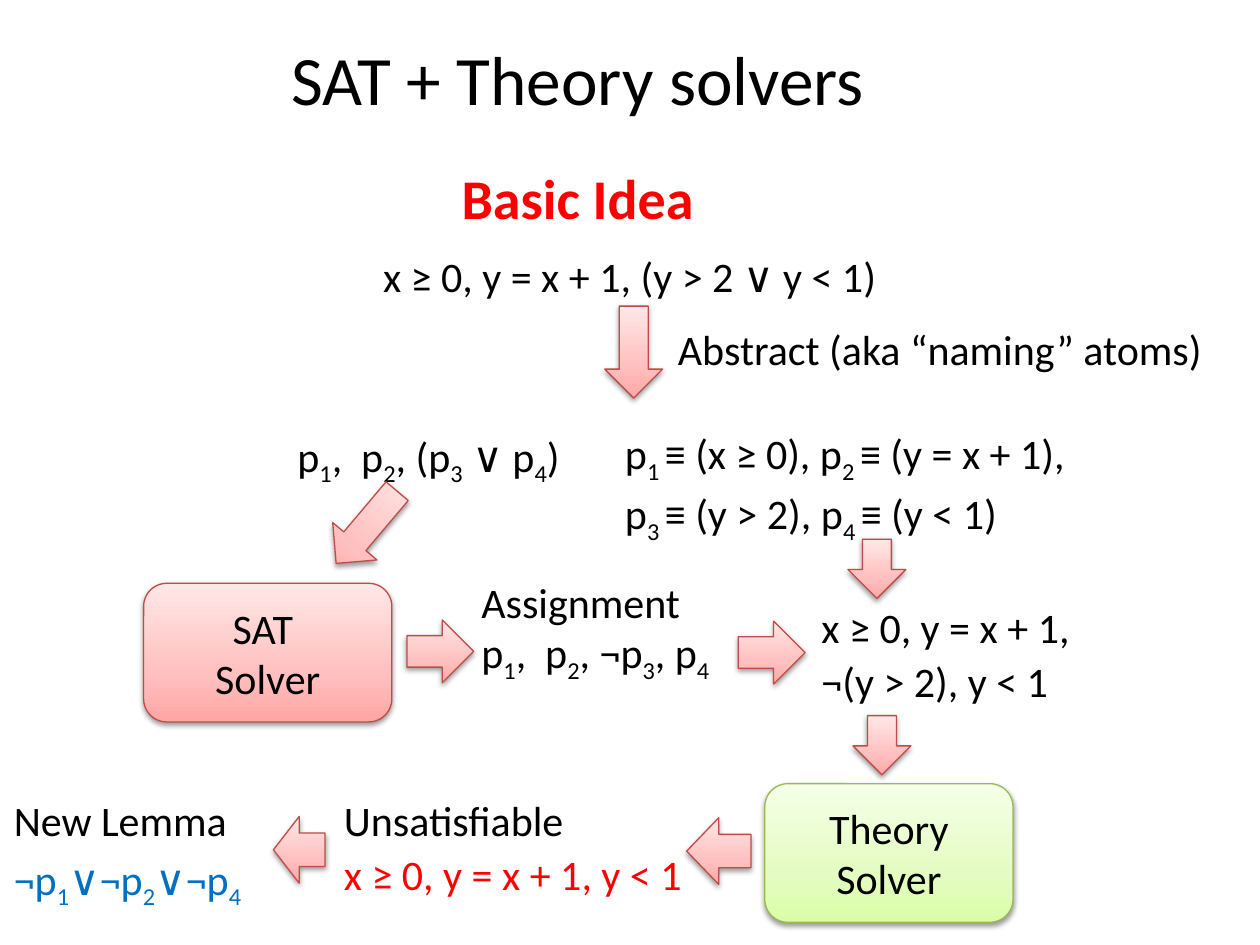
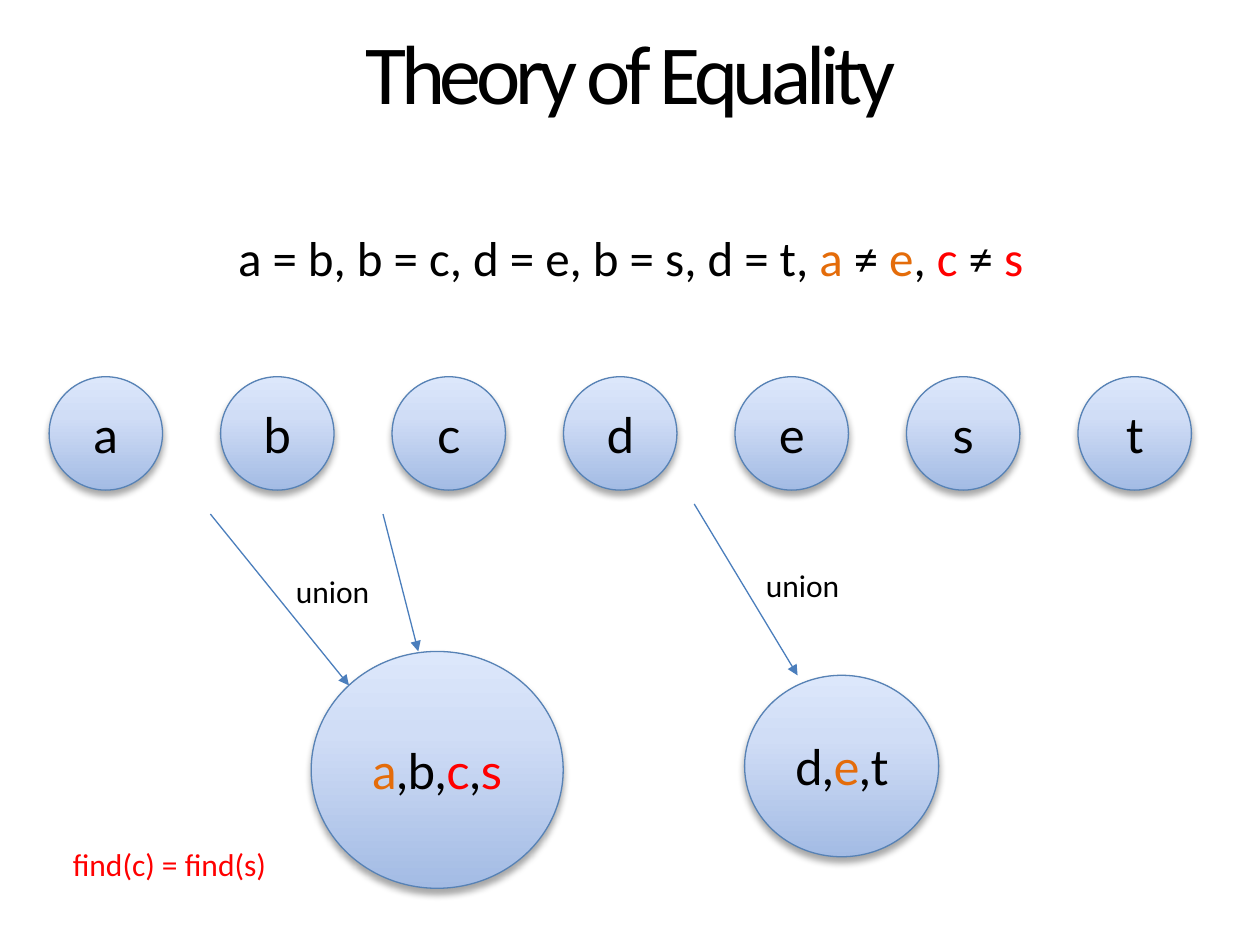
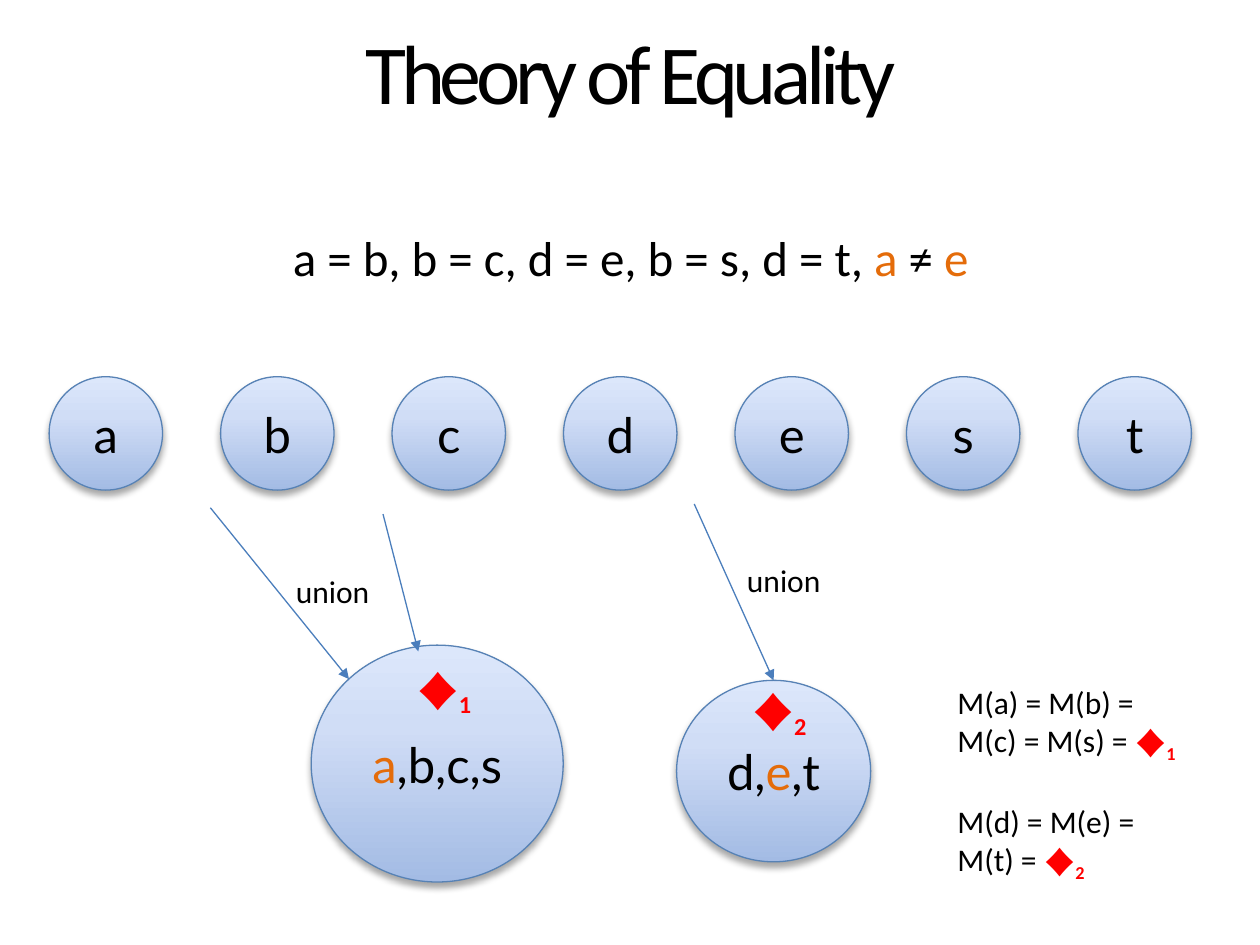
from typing import NamedTuple

from lxml.etree import SubElement
from pptx import Presentation
from pptx.dml.color import RGBColor
from pptx.enum.shapes import MSO_CONNECTOR as Link, MSO_SHAPE as Form
from pptx.enum.text import MSO_ANCHOR as Anchor, MSO_AUTO_SIZE as Fit, PP_ALIGN as Align
from pptx.oxml.ns import qn
from pptx.util import Inches, Pt

# Colours
BLACK = RGBColor(0x00, 0x00, 0x00)
RED = RGBColor(0xFF, 0x00, 0x00)
BLUE = RGBColor(0x00, 0x70, 0xC0)
ORANGE = RGBColor(0xE4, 0x6C, 0x0A)
WIRE = RGBColor(0x4B, 0x7E, 0xBC)


class Look(NamedTuple):
    """Gradient stops, outline and shadow (opacity %, blur pt, distance pt)."""
    stops: tuple
    edge: RGBColor
    shade: tuple


def ramp(middle, *hues):
    return tuple(zip((0, middle, 100), map(RGBColor.from_string, hues)))


ROSE = Look(ramp(35, "FFA6A5", "FFC0BF", "FFE7E7"), RGBColor(0xBF, 0x4C, 0x48), (38, 3.1, 1.6))
LIME = Look(ramp(35, "DAFDA7", "E4FCC2", "F5FFE7"), RGBColor(0x98, 0xB9, 0x55), (38, 3.1, 1.6))
SKY = Look(ramp(65, "A3BBE4", "D0DDF6", "DCE7FB"), RGBColor(0x57, 0x82, 0xB5), (35, 4, 3))

# Grid: 100 columns by 75 rows of square cells
COLS, ROWS, CELL = 100, 75, 0.1
BODY, NODE = "Calibri", "Lato"
TIGHT, ROOMY, INNER = (0, 0), (1, 0.5), (1.2, 0.6)  # insets in cells


def cells(*counts):
    return [Inches(n * CELL) for n in counts]


class Bit(NamedTuple):
    """One run of text."""
    words: str
    hue: RGBColor
    bold: bool
    low: bool


def bits(*parts, hue=BLACK, bold=False):
    """Runs that alternate between the base line and subscript."""
    return [Bit(part, hue, bold, i % 2 == 1) for i, part in enumerate(parts)]


class Deck:
    def __init__(self):
        self.show = Presentation()
        self.show.slide_width, self.show.slide_height = cells(COLS, ROWS)
        self.page = None

    def start(self):
        self.page = self.show.slides.add_slide(self.show.slide_layouts[6])

    def typeset(self, frame, paras, size, font=BODY, align=Align.LEFT, pad=TIGHT,
                lead=None, gap=0, track=None):
        """Fill a text frame run by run; gap is a share of the text size."""
        frame.margin_left = frame.margin_right = cells(pad[0])[0]
        frame.margin_top = frame.margin_bottom = cells(pad[1])[0]
        for i, para in enumerate(paras):
            line = frame.add_paragraph() if i else frame.paragraphs[0]
            line.alignment, line.space_before = align, Pt(size * gap)
            if lead:
                line.line_spacing = lead
            for bit in para:
                run = line.add_run()
                run.text = bit.words
                run.font.name, run.font.size, run.font.bold = font, Pt(size), bit.bold
                run.font.color.rgb = bit.hue
                props = run._r.get_or_add_rPr()
                if bit.low:
                    props.set("baseline", "-25000")
                if track:
                    props.set("spc", str(track * 100))

    def text(self, box, *paras, size=24, wrap=True, grow=True, mid=False, **style):
        frame = self.page.shapes.add_textbox(*cells(*box)).text_frame
        frame.word_wrap = wrap
        frame.auto_size = Fit.SHAPE_TO_FIT_TEXT if grow else Fit.NONE
        frame.vertical_anchor = Anchor.MIDDLE if mid else Anchor.TOP
        self.typeset(frame, paras, size, **style)
        return frame

    def maths(self, box, *paras, gap=0.2, **style):
        self.text(box, *paras, lead=0.9, gap=gap, **style)

    def label(self, box, *paras, size=18, wrap=False):
        return self.text(box, *paras, size=size, wrap=wrap, pad=ROOMY)

    def shape(self, form, box, look, *paras, size=24, font=BODY, turn=0):
        item = self.page.shapes.add_shape(form, *cells(*box))
        item.rotation = turn
        # Gradient that runs from the bottom to the top
        item.fill.gradient()
        item.fill.gradient_angle = 90
        props = item._element.spPr
        stops = props.find(".//" + qn("a:gsLst"))
        for old in list(stops):
            stops.remove(old)
        for place, hue in look.stops:
            stop = SubElement(stops, qn("a:gs"), pos=str(place * 1000))
            SubElement(stop, qn("a:srgbClr"), val=str(hue))
        item.line.color.rgb, item.line.width = look.edge, Pt(0.75)
        # Soft shadow straight below
        item.shadow.inherit = False
        alpha, blur, drop = look.shade
        shade = SubElement(props.find(qn("a:effectLst")), qn("a:outerShdw"),
                           blurRad=str(int(Pt(blur))), dist=str(int(Pt(drop))),
                           dir="5400000", rotWithShape="0")
        tint = SubElement(shade, qn("a:srgbClr"), val=str(BLACK))
        SubElement(tint, qn("a:alpha"), val=str(alpha * 1000))
        item.text_frame.vertical_anchor = Anchor.MIDDLE
        self.typeset(item.text_frame, paras, size, font, Align.CENTER, INNER)
        return item

    def ball(self, box, para):
        return self.shape(Form.OVAL, box, SKY, para, size=28, font=NODE)

    def arrow(self, ends, goal=None):
        wire = self.page.shapes.add_connector(Link.STRAIGHT, *cells(*ends))
        if goal is not None:
            wire.end_connect(goal, 0)
        wire.line.color.rgb, wire.line.width = WIRE, Pt(0.75)
        props = wire._element.spPr
        SubElement(props.find(qn("a:ln")), qn("a:tailEnd"), type="triangle")
        SubElement(props, qn("a:effectLst"))


def solvers(deck):
    """The loop between the SAT solver and the theory solver."""
    deck.start()
    deck.text((0, 2.5, 91.7, 7.3), bits("SAT + Theory solvers"), size=39.6,
              align=Align.CENTER, pad=ROOMY, grow=False, mid=True)
    deck.text((0, 12.5, 91.7, 24.2), bits("Basic Idea", hue=RED, bold=True), size=32,
              align=Align.CENTER, pad=ROOMY, grow=False, gap=0.2)

    # Formula and its abstraction
    deck.maths((4.5, 20.3, 91.7, 3.6), bits("x ≥ 0, y = x + 1, (y > 2 ∨ y < 1) "),
               align=Align.CENTER)
    deck.maths((23.6, 34.2, 23.8, 3.6),
               bits("p", "1", ",  p", "2", ", (p", "3", " ∨ p", "4", ")"))
    deck.maths((53.8, 26.1, 46.2, 3.6), bits("Abstract (aka “naming” atoms)"))
    deck.maths((49.6, 34, 40.8, 8.1),
               bits("p", "1 ", "≡ (x ≥ 0), p", "2 ", "≡ (y = x + 1),"),
               bits("p", "3 ", "≡ (y > 2), p", "4 ", "≡ (y < 1)"))

    # Solvers
    for spot, look, name in (((11.4, 46.3), ROSE, "SAT "), ((60.7, 62.2), LIME, "Theory")):
        deck.shape(Form.ROUNDED_RECTANGLE, (*spot, 19.7, 11), look, bits(name), bits("Solver"))

    # Block arrows
    for form, box, turn in (
        (Form.DOWN_ARROW, (48, 24.3, 4.6, 7.3), 0),
        (Form.DOWN_ARROW, (26.8, 38.1, 4.6, 7.5), 40.2),
        (Form.RIGHT_ARROW, (32.3, 49.2, 5.3, 5), 0),
        (Form.RIGHT_ARROW, (58.6, 49.3, 5.3, 5), 0),
        (Form.DOWN_ARROW, (67.3, 42.8, 4.6, 4.7), 0),
        (Form.DOWN_ARROW, (67.7, 56.8, 4.6, 4.7), 0),
        (Form.LEFT_ARROW, (54.5, 64.9, 5.1, 5.3), 0),
        (Form.LEFT_ARROW, (21.7, 64.8, 4.1, 5.3), 0),
    ):
        deck.shape(form, box, ROSE, turn=turn)

    # Results of each step
    deck.maths((38.2, 46.2, 23.8, 7.3), bits("Assignment"),
               bits("p", "1", ",  p", "2", ", ¬p", "3", ", p", "4"), gap=0)
    deck.maths((65.2, 48.2, 21.7, 8.1), bits("x ≥ 0, y = x + 1,"), bits("¬(y > 2), y < 1"))
    deck.maths((27.3, 63.5, 27.3, 8.1), bits("Unsatisfiable"),
               bits("x ≥ 0, y = x + 1, y < 1", hue=RED))
    deck.maths((1.1, 63.5, 27.3, 8.1), bits("New Lemma"),
               bits("¬p", "1", "∨¬p", "2", "∨¬p", "4", hue=BLUE))


def equal(deck, facts, group, left, right, tip, tag, join=False):
    """Title, facts, terms and unions of an equality slide."""
    deck.start()
    deck.text((4.2, 2.5, 91.7, 7.3), bits("Theory of Equality"), size=48,
              align=Align.CENTER, lead=0.9, track=-3)
    deck.maths((4.2, 18.6, 91.7, 4.2),
               bits("a = b, b = c, d = e, b = s, d = t, ") + bits("a ", hue=ORANGE)
               + bits("≠ ") + bits("e", hue=ORANGE) + facts, size=28, align=Align.CENTER)

    # Single terms, then merged classes
    for i, term in enumerate("abcdest"):
        deck.ball((3.9 + 13.61 * i, 29.9, 9, 9), bits(term))
    deck.ball((*left, 20, 18.8), bits("a", hue=ORANGE) + group)
    pair = deck.ball((*right, 15.4, 14.4), bits("d,") + bits("e", hue=ORANGE) + bits(",t"))

    # Unions
    top = left[1]
    deck.arrow((16.7, top - 10.9, 27.7, top + 2.7))
    deck.arrow((30.4, 40.8, 33.2, 51.7))
    deck.arrow((55.1, 40, tip, right[1]), pair if join else None)
    for spot in ((22.5, 44.9), tag):
        deck.label((*spot, 7.9, 4), bits("union"))


def clash(deck):
    """The facts contradict c ≠ s."""
    facts = bits(", ") + bits("c ", hue=RED) + bits("≠ ") + bits("s", hue=RED)
    group = bits(",b,") + bits("c", hue=RED) + bits(",") + bits("s", hue=RED)
    equal(deck, facts, group, left=(24.7, 51.7), right=(59.1, 53.6),
          tip=63.3, tag=(59.8, 44.4))
    deck.label((4.8, 66.6, 17.6, 4), bits("find(c) = find(s)", hue=RED))


def model(deck):
    """The facts hold, so each class gets a value."""
    equal(deck, [], bits(",b,c,s"), left=(24.7, 51.2), right=(53.7, 54),
          tip=61.4, tag=(58.3, 44), join=True)

    one, two = (bits("♦", mark, hue=RED, bold=True) for mark in "12")
    for spot, value in (((32.1, 52), one), ((58.7, 53.7), two)):
        deck.label((*spot, 7.2, 5), value, size=24, wrap=True)
    frame = deck.label((75, 53.7, 19.6, 16.2),
                       bits("M(a) = M(b) ="), bits("M(c) = M(s) = ") + one,
                       bits("M(d) = M(e) ="), bits("M(t) = ") + two)
    frame.paragraphs[2].space_before = Pt(22)


def main():
    deck = Deck()
    for draw in (solvers, clash, model):
        draw(deck)
    deck.show.save("out.pptx")


if __name__ == "__main__":
    main()
